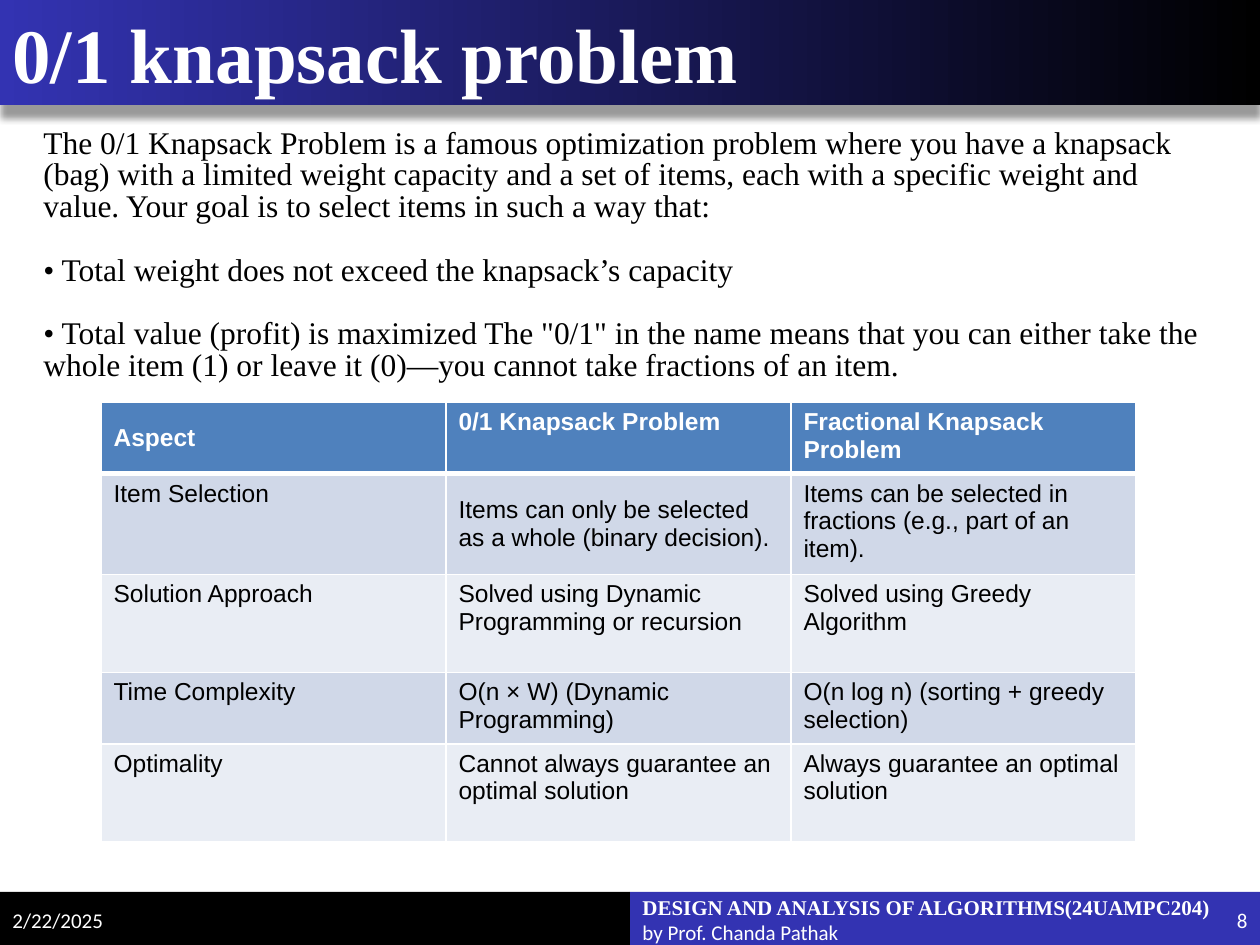
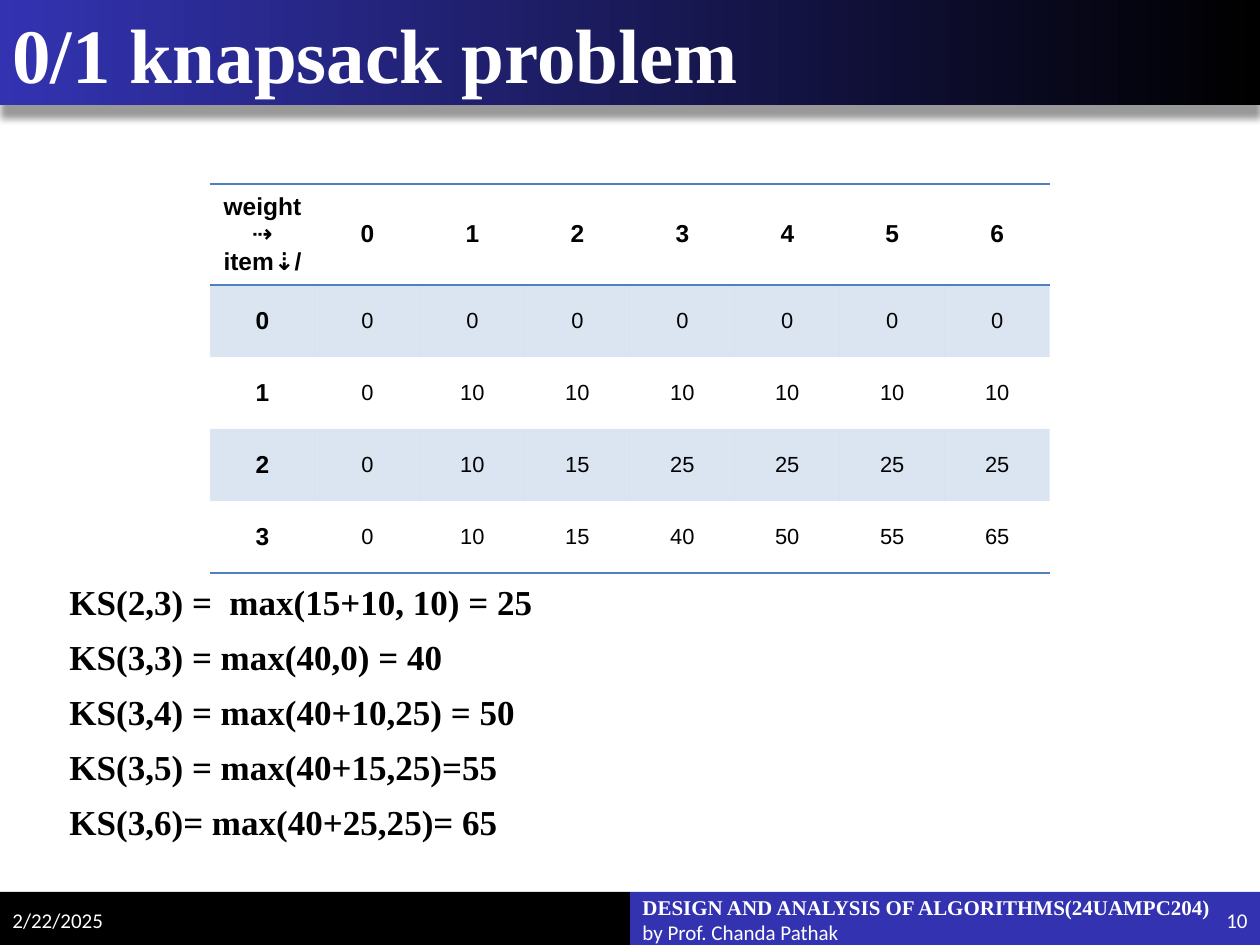
"""Build two slides on the 0/1 knapsack problem."""
from collections.abc import Sequence
from dataclasses import dataclass

from lxml.etree import SubElement
from pptx import Presentation
from pptx.dml.color import RGBColor
from pptx.enum.shapes import MSO_SHAPE
from pptx.enum.text import MSO_ANCHOR, PP_ALIGN
from pptx.oxml.ns import qn
from pptx.util import Pt

EMU_PER_INCH = 914400
PX_PER_INCH = 126
WIDTH, HEIGHT = 1260, 945
BAND_HEIGHT = 105
FOOTER_TOP, FOOTER_HEIGHT = 892, 53

BLACK = RGBColor(0x00, 0x00, 0x00)
WHITE = RGBColor(0xFF, 0xFF, 0xFF)
INDIGO = RGBColor(0x33, 0x33, 0xB2)
BLUE = RGBColor(0x4F, 0x81, 0xBD)
LIGHT_BLUE = RGBColor(0xD0, 0xD8, 0xE8)
PALE_BLUE = RGBColor(0xE9, 0xED, 0xF4)

TITLE = "0/1 knapsack problem"
DATE = "2/22/2025"
COURSE = "DESIGN AND ANALYSIS OF ALGORITHMS(24UAMPC204)"
AUTHOR = "by Prof. Chanda Pathak"

INTRODUCTION = [
    "The 0/1 Knapsack Problem is a famous optimization problem where you have a knapsack (bag) with a "
    "limited weight capacity and a set of items, each with a specific weight and value. Your goal is to "
    "select items in such a way that:",
    "• Total weight does not exceed the knapsack’s capacity",
    "• Total value (profit) is maximized The \"0/1\" in the name means that you can either take the whole "
    "item (1) or leave it (0)—you cannot take fractions of an item.",
]
COMPARISON = [
    ["Aspect", "0/1 Knapsack Problem", "Fractional Knapsack Problem"],
    ["Item Selection", "Items can only be selected as a whole (binary decision).",
     "Items can be selected in fractions (e.g., part of an item)."],
    ["Solution Approach", "Solved using Dynamic Programming or recursion", "Solved using Greedy Algorithm"],
    ["Time Complexity", "O(n × W) (Dynamic Programming)", "O(n log n) (sorting + greedy selection)"],
    ["Optimality", "Cannot always guarantee an optimal solution", "Always guarantee an optimal solution"],
]
MIDDLE_CELLS = {(0, 0), (1, 1)}
BEST_VALUES = [
    [0, 0, 0, 0, 0, 0, 0],
    [0, 10, 10, 10, 10, 10, 10],
    [0, 10, 15, 25, 25, 25, 25],
    [0, 10, 15, 40, 50, 55, 65],
]
CALCULATIONS = [
    "KS(2,3) =  max(15+10, 10) = 25",
    "KS(3,3) = max(40,0) = 40",
    "KS(3,4) = max(40+10,25) = 50",
    "KS(3,5) = max(40+15,25)=55",
    "KS(3,6)= max(40+25,25)= 65",
]


@dataclass(frozen=True)
class Area:
    left: int
    top: int
    width: int
    height: int

    def emu(self) -> list[int]:
        return [px(n) for n in (self.left, self.top, self.width, self.height)]


@dataclass(frozen=True)
class TextStyle:
    size: float
    name: str = "Times New Roman"
    color: RGBColor = BLACK
    bold: bool = False
    align: PP_ALIGN = PP_ALIGN.LEFT
    line: float | None = None
    before: float = 0
    after: float = 0


@dataclass(frozen=True)
class Border:
    color: RGBColor
    points: float = 1


TITLE_STYLE = TextStyle(44, color=WHITE, bold=True)
FOOTER_STYLE = TextStyle(12, "Calibri", WHITE)
COURSE_STYLE = TextStyle(12, color=WHITE, bold=True)
NUMBER_STYLE = TextStyle(12, "Calibri", WHITE, align=PP_ALIGN.RIGHT)
INTRODUCTION_STYLE = TextStyle(18, line=18, before=6.4, after=12)
CALCULATION_STYLE = TextStyle(20, bold=True, before=7.4)
HEADER_STYLE = TextStyle(14, "Arial", WHITE, True)
CELL_STYLE = TextStyle(14, "Arial")
LABEL_STYLE = TextStyle(14, "Arial", bold=True, align=PP_ALIGN.CENTER)
VALUE_STYLE = TextStyle(12.5, "Arial", align=PP_ALIGN.CENTER)


def px(length: int) -> int:
    return round(length * EMU_PER_INCH / PX_PER_INCH)


def set_font(font, style: TextStyle) -> None:
    font.size = Pt(style.size)
    font.name = style.name
    font.bold = style.bold
    font.color.rgb = style.color


def write(frame, texts: Sequence[str], style: TextStyle) -> None:
    for index, text in enumerate(texts):
        para = frame.add_paragraph() if index else frame.paragraphs[0]
        para.text = text
        para.alignment = style.align
        para.space_before, para.space_after = Pt(style.before), Pt(style.after)
        if style.line:
            para.line_spacing = Pt(style.line)
        set_font(para.font, style)


def add_text(page, area: Area, texts: Sequence[str], style: TextStyle, anchor=MSO_ANCHOR.MIDDLE):
    frame = page.shapes.add_textbox(*area.emu()).text_frame
    frame.word_wrap = True
    frame.vertical_anchor = anchor
    write(frame, texts, style)
    return frame


def add_block(page, area: Area, color: RGBColor):
    block = page.shapes.add_shape(MSO_SHAPE.RECTANGLE, *area.emu())
    block.shadow.inherit = False
    block.fill.solid()
    block.fill.fore_color.rgb = color
    block.line.fill.background()
    return block


def add_title_band(page) -> None:
    band = add_block(page, Area(0, 0, WIDTH, BAND_HEIGHT), INDIGO)
    band.fill.gradient()
    band.fill.gradient_angle = 180
    for stop, color in zip(band.fill.gradient_stops, (BLACK, INDIGO)):
        stop.color.rgb = color
    effects = band._element.spPr.find(qn("a:effectLst"))
    shadow = SubElement(effects, qn("a:outerShdw"), blurRad=str(Pt(4)), dist=str(Pt(7)),
                        dir="5400000", algn="t", rotWithShape="0")
    tint = SubElement(shadow, qn("a:srgbClr"), val=str(BLACK))
    SubElement(tint, qn("a:alpha"), val="40000")
    add_text(page, Area(0, 0, 1228, BAND_HEIGHT), [TITLE], TITLE_STYLE)


def add_footer(page, number: int) -> None:
    half = WIDTH // 2
    for left, color in ((half, INDIGO), (0, BLACK)):
        add_block(page, Area(left, FOOTER_TOP, half, FOOTER_HEIGHT), color)
    top, height = FOOTER_TOP + 3, FOOTER_HEIGHT - 3
    add_text(page, Area(0, top, 147, height), [DATE], FOOTER_STYLE)
    para = add_text(page, Area(half, top, 598, height), [""], FOOTER_STYLE).paragraphs[0]
    for text, style in ((COURSE, COURSE_STYLE), (AUTHOR, FOOTER_STYLE)):
        if para.runs:
            para.add_line_break()
        span = para.add_run()
        span.text = text
        set_font(span.font, style)
    add_text(page, Area(1113, top, 147, height), [str(number)], NUMBER_STYLE)


def add_page(deck, number: int):
    page = deck.slides.add_slide(deck.slide_layouts[6])
    add_footer(page, number)
    add_title_band(page)
    return page


def add_grid(page, left: int, top: int, column: int, rows: Sequence[int], columns: int):
    area = Area(left, top, column * columns, sum(rows))
    table = page.shapes.add_table(len(rows), columns, *area.emu()).table
    table.horz_banding = False
    for item in table.columns:
        item.width = px(column)
    for item, height in zip(table.rows, rows):
        item.height = px(height)
    return table


def set_borders(cell, **borders: Border) -> None:
    properties = cell._tc.get_or_add_tcPr()
    for side in "LRTB":
        border = borders.get(side)
        line = SubElement(properties, qn(f"a:ln{side}"), w=str(Pt(border.points) if border else 0))
        fill = SubElement(line, qn("a:solidFill" if border else "a:noFill"))
        if border:
            SubElement(fill, qn("a:srgbClr"), val=str(border.color))


def fill_cell(cell, color: RGBColor | None, opacity: int = 100) -> None:
    if color is None:
        cell.fill.background()
        return
    cell.fill.solid()
    cell.fill.fore_color.rgb = color
    if opacity < 100:
        tint = cell._tc.tcPr.find(f"{qn('a:solidFill')}/{qn('a:srgbClr')}")
        SubElement(tint, qn("a:alpha"), val=str(opacity * 1000))


def add_comparison(page) -> None:
    table = add_grid(page, 101, 402, 345, (69, 98, 98, 70, 98), 3)
    thin, thick = Border(WHITE), Border(WHITE, 3)
    for row, texts in enumerate(COMPARISON):
        color = BLUE if row == 0 else LIGHT_BLUE if row % 2 else PALE_BLUE
        for column, text in enumerate(texts):
            cell = table.cell(row, column)
            set_borders(cell, L=thin, R=thin, T=thick if row == 1 else thin, B=thin if row else thick)
            fill_cell(cell, color)
            if (row, column) in MIDDLE_CELLS:
                cell.vertical_anchor = MSO_ANCHOR.MIDDLE
            write(cell.text_frame, [text], CELL_STYLE if row else HEADER_STYLE)


def add_best_values(page) -> None:
    header = ["weight⇢\nitem⇣/", *range(len(BEST_VALUES[0]))]
    lines = [header, *([item, *values] for item, values in enumerate(BEST_VALUES))]
    table = add_grid(page, 210, 184, 105, (100, 72, 72, 72, 72), len(header))
    table.first_row = False
    rule = Border(BLUE)
    for row, values in enumerate(lines):
        edges = {"T": rule, "B": rule} if row == 0 else {}
        if row == 1:
            edges["T"] = rule
        if row == len(lines) - 1:
            edges["B"] = rule
        for column, value in enumerate(values):
            cell = table.cell(row, column)
            set_borders(cell, **edges)
            fill_cell(cell, BLUE if row % 2 else None, 20)
            cell.vertical_anchor = MSO_ANCHOR.MIDDLE
            cell.margin_left = cell.margin_right = px(9 if column else 5)
            is_label = row == 0 or column == 0
            write(cell.text_frame, [str(value)], LABEL_STYLE if is_label else VALUE_STYLE)


def main() -> None:
    deck = Presentation()
    deck.slide_width, deck.slide_height = px(WIDTH), px(HEIGHT)

    page = add_page(deck, 8)
    add_text(page, Area(31, 123, 1197, 270), INTRODUCTION, INTRODUCTION_STYLE, MSO_ANCHOR.TOP)
    add_comparison(page)

    page = add_page(deck, 10)
    add_best_values(page)
    add_text(page, Area(57, 574, 1140, 270), CALCULATIONS, CALCULATION_STYLE, MSO_ANCHOR.TOP)

    deck.save("out.pptx")


if __name__ == "__main__":
    main()
